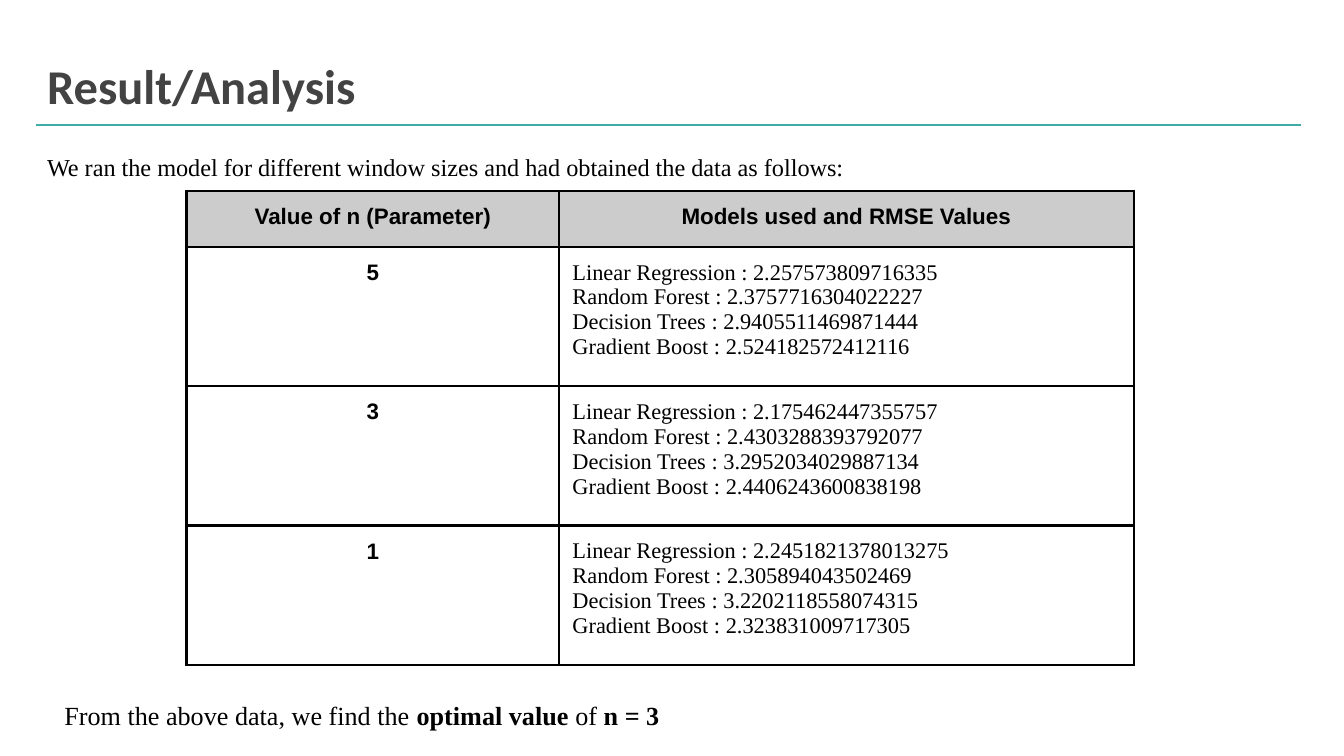
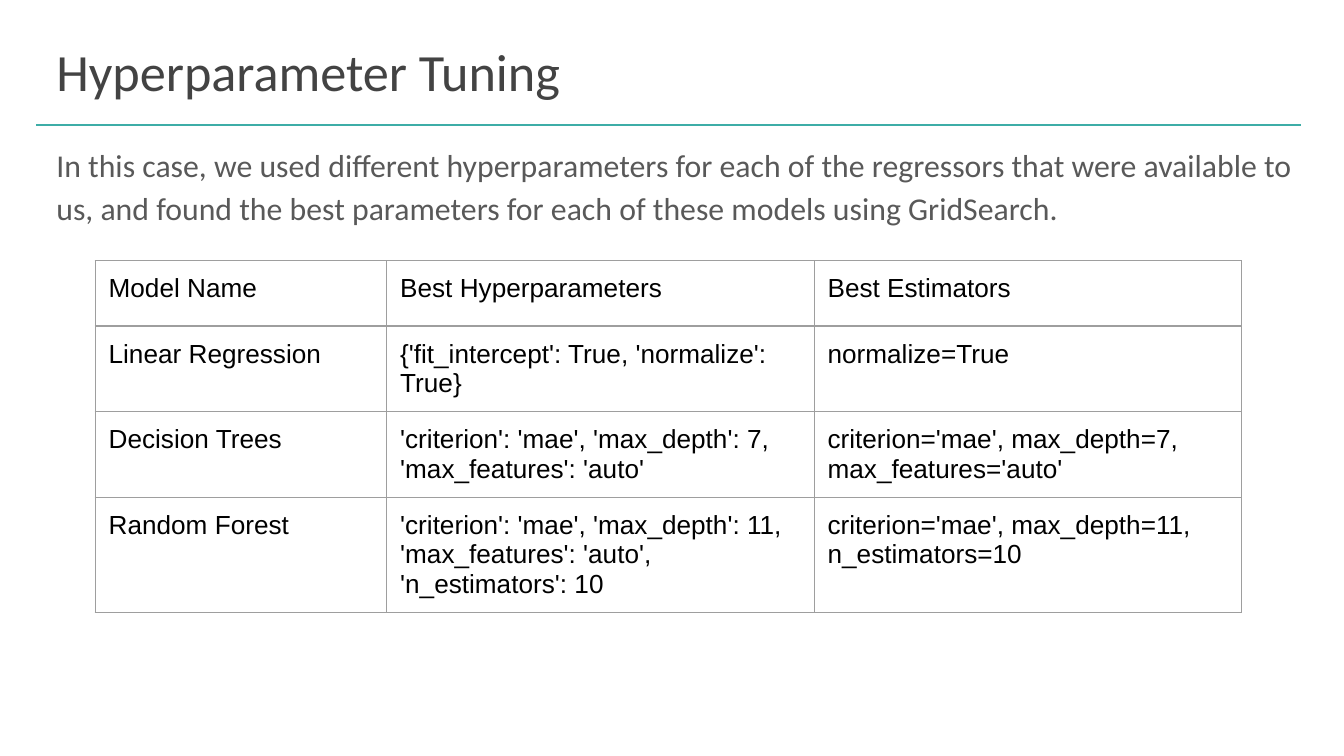
"""Build two slides on model results and tuning."""
import pptx
import pptx.dml.color
import pptx.enum.shapes
import pptx.enum.text
import pptx.oxml
import pptx.oxml.ns
import pptx.util

Pt = pptx.util.Pt
ALIGN = pptx.enum.text.PP_ALIGN
INSET = Pt(7.2)
HUES = {
    "rule": "3EADA7",
    "title": "434343",
    "body": "595959",
    "ink": "000000",
    "head": "CCCCCC",
    "grid": "9E9E9E",
}
MODELS = ["Linear Regression", "Random Forest", "Decision Trees", "Gradient Boost"]
SCORES = {
    "5": ["2.257573809716335", "2.3757716304022227", "2.9405511469871444", "2.524182572412116"],
    "3": ["2.175462447355757", "2.4303288393792077", "3.2952034029887134", "2.4406243600838198"],
    "1": ["2.2451821378013275", "2.305894043502469", "3.2202118558074315", "2.323831009717305"],
}
TUNING = [
    ["Model Name", "Best Hyperparameters", "Best Estimators"],
    ["Linear Regression", "{'fit_intercept': True, 'normalize': True}", "normalize=True"],
    ["Decision Trees", "'criterion': 'mae', 'max_depth': 7, 'max_features': 'auto'",
     "criterion='mae', max_depth=7, max_features='auto'"],
    ["Random Forest",
     "'criterion': 'mae', 'max_depth': 11, 'max_features': 'auto', 'n_estimators': 10",
     "criterion='mae', max_depth=11, n_estimators=10"],
]


def color(name):
    return pptx.dml.color.RGBColor.from_string(HUES[name])


def write(frame, lines, size, font, hue="ink", bold=False, align=ALIGN.LEFT, space=None):
    for num, line in enumerate(lines):
        para = frame.add_paragraph() if num else frame.paragraphs[0]
        para.alignment = align
        para.space_before = Pt(0)
        if space:
            para.line_spacing = space
        parts = [(line, bold)] if isinstance(line, str) else line
        for text, strong in parts:
            run = para.add_run()
            run.text = text
            run.font.size = Pt(size)
            run.font.name = font
            run.font.bold = strong
            run.font.color.rgb = color(hue)


def place(shape, box):
    shape.left, shape.top, shape.width, shape.height = [Pt(side) for side in box]
    frame = shape.text_frame
    frame.word_wrap = True
    frame.auto_size = pptx.enum.text.MSO_AUTO_SIZE.NONE
    frame.vertical_anchor = pptx.enum.text.MSO_ANCHOR.TOP
    frame.margin_left = frame.margin_right = INSET
    frame.margin_top = frame.margin_bottom = INSET
    return frame


def add_rule(slide):
    kind = pptx.enum.shapes.MSO_CONNECTOR.STRAIGHT
    rule = slide.shapes.add_connector(kind, Pt(19.5), Pt(67), Pt(697), Pt(67))
    rule.line.color.rgb = color("rule")
    rule.line.width = Pt(0.75)
    props = rule._element.spPr
    props.append(props.makeelement(pptx.oxml.ns.qn("a:effectLst"), {}))


def add_slide(deck, title, box, size, bold):
    slide = deck.slides.add_slide(deck.slide_layouts[1])
    add_rule(slide)
    write(place(slide.shapes.title, box), [title], size, "Calibri", "title", bold)
    return slide


def add_body(slide, text, box, size, font, hue):
    frame = place(slide.placeholders[1], box)
    props = frame.paragraphs[0]._p.get_or_add_pPr()
    props.set("marL", "0")
    props.set("indent", "0")
    props.append(props.makeelement(pptx.oxml.ns.qn("a:buNone"), {}))
    write(frame, [text], size, font, hue, space=1.15)


def add_note(slide, parts, box, size, font):
    frame = place(slide.shapes.add_textbox(0, 0, 0, 0), box)
    write(frame, [parts], size, font, space=1.15)
    frame.paragraphs[0].space_after = Pt(16)


def edge(cell, hue, width):
    props = cell._tc.get_or_add_tcPr()
    for side in "LRTB":
        props.append(pptx.oxml.parse_xml(
            f'<a:ln{side} {pptx.oxml.ns.nsdecls("a")} w="{Pt(width)}">'
            f'<a:solidFill><a:srgbClr val="{HUES[hue]}"/></a:solidFill></a:ln{side}>'))


def add_grid(slide, left, top, cols, rows, hue, width):
    frame = slide.shapes.add_table(
        len(rows), len(cols), Pt(left), Pt(top), Pt(sum(cols)), Pt(sum(rows)))
    table = frame.table
    table.first_row = table.horz_banding = False
    for col, size in zip(table.columns, cols):
        col.width = Pt(size)
    for row, size in zip(table.rows, rows):
        row.height = Pt(size)
    for cell in table.iter_cells():
        cell.margin_left = cell.margin_right = INSET
        cell.margin_top = cell.margin_bottom = INSET
        edge(cell, hue, width)
        cell.fill.background()
    return table


def add_result(deck):
    slide = add_slide(deck, "Result/Analysis", (18, 23, 671, 34.5), 26, True)
    add_body(slide, "We ran the model for different window sizes and had obtained the data as follows:",
             (18, 72, 658, 34.5), 13, "Times New Roman", "ink")
    table = add_grid(slide, 100, 102.2, [199.5, 308], [30] + [74.7] * 3, "ink", 1.5)
    heads = ["Value of n (Parameter)", "Models used and RMSE Values"]
    for cell, head in zip(table.rows[0].cells, heads):
        cell.fill.solid()
        cell.fill.fore_color.rgb = color("head")
        write(cell.text_frame, [head], 12, "Arial", bold=True, align=ALIGN.CENTER)
    for num, (count, scores) in enumerate(SCORES.items(), 1):
        write(table.cell(num, 0).text_frame, [count], 12, "Arial", bold=True, align=ALIGN.CENTER)
        lines = [f"{model} : {score}" for model, score in zip(MODELS, scores)]
        write(table.cell(num, 1).text_frame, lines, 12, "Times New Roman")
    parts = [("From the above data, we find the ", False), ("optimal value", True),
             (" of ", False), ("n = 3", True)]
    add_note(slide, parts, (27.4, 365, 535, 31.7), 14, "Times New Roman")


def add_tuning(deck):
    slide = add_slide(deck, "Hyperparameter Tuning", (23, 13.7, 671, 45.4), 28, False)
    add_body(slide, "In this case, we used different hyperparameters for each of the regressors "
             "that were available to us, and found the best parameters for each of these models "
             "using GridSearch.", (23, 67.7, 692.6, 236), 17, "Calibri", "body")
    table = add_grid(slide, 51, 139.7, [156.2, 229, 229], [35, 29, 29, 38], "grid", 0.75)
    for row, texts in zip(table.rows, TUNING):
        for cell, text in zip(row.cells, texts):
            write(cell.text_frame, [text], 14, "Arial")


def main():
    deck = pptx.Presentation()
    deck.slide_width, deck.slide_height = Pt(720), Pt(405)
    add_result(deck)
    add_tuning(deck)
    deck.save("out.pptx")


if __name__ == "__main__":
    main()
